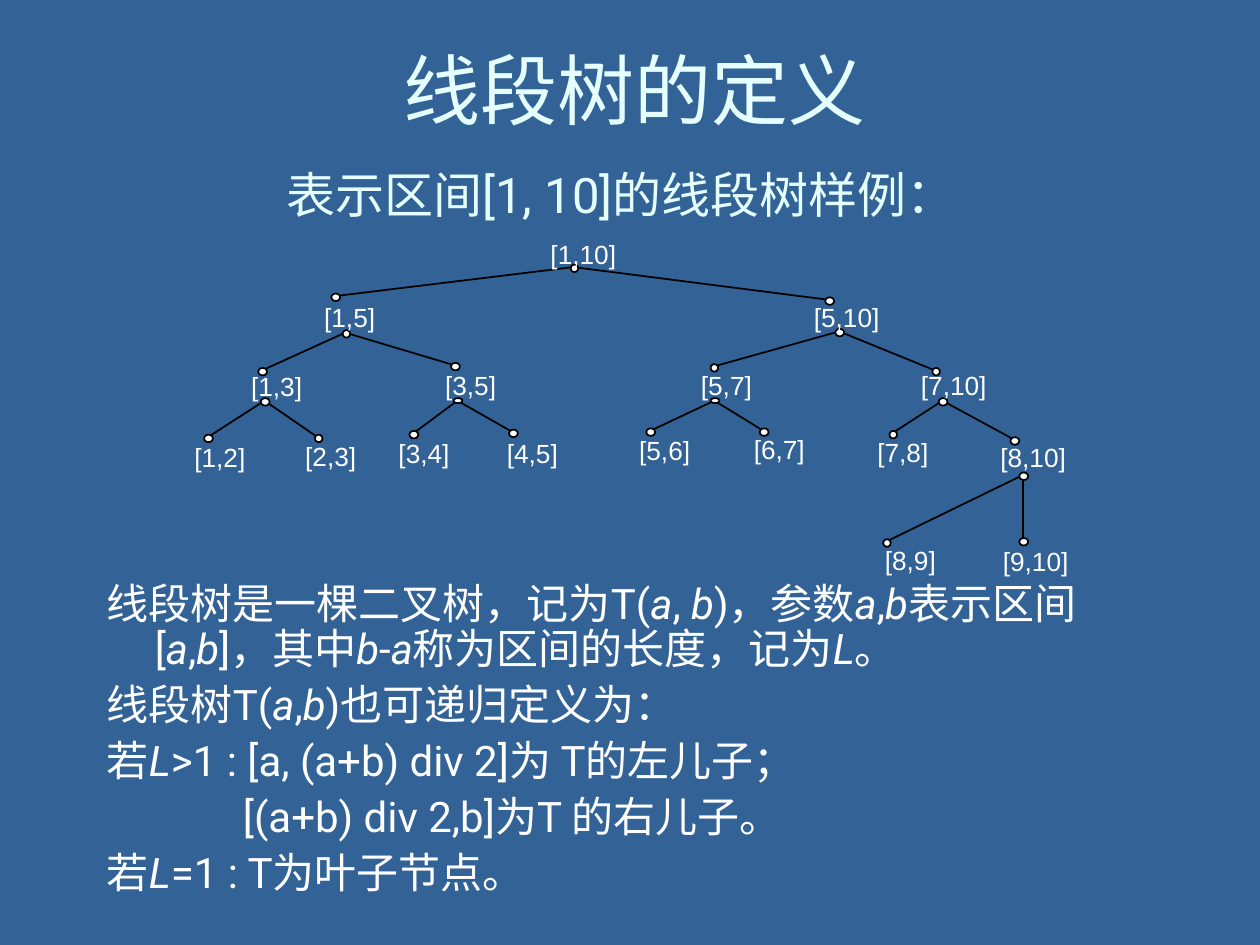
"""Build the slide that defines the segment tree."""
from dataclasses import dataclass
from typing import Optional

from lxml.etree import SubElement as Sub
from pptx import Presentation
from pptx.dml.color import RGBColor as Rgb
from pptx.enum.shapes import MSO_CONNECTOR as Link, MSO_SHAPE as Kind
from pptx.enum.text import MSO_ANCHOR as Anchor, PP_ALIGN as Align
from pptx.oxml.ns import qn
from pptx.util import Inches, Pt


@dataclass(frozen=True)
class Theme:
    """Colours, fonts and sizes."""
    back: str = "326296"
    pale: str = "E5FFFF"
    white: str = "FFFFFF"
    ink: str = "010101"
    main: str = "Roboto"
    label: str = "Arial"
    title: int = 44
    lead: int = 28
    body: int = 24
    small: int = 15
    line: int = 1


@dataclass(frozen=True)
class Dot:
    """A small ellipse where edges meet."""
    x: float
    y: float
    w: float = 0.07
    h: float = 0.06

    def joint(self) -> tuple:
        """Return the point where edges touch the dot."""
        return Inches(self.x + self.w - 0.04), Inches(self.y + 0.02)


@dataclass(frozen=True)
class Node:
    """Label place of an interval, with its upper and lower dots."""
    x: float
    y: float
    top: Optional[Dot] = None
    base: Optional[Dot] = None


@dataclass(frozen=True)
class Para:
    """A paragraph with its left margin and first-line indent."""
    text: str
    left: float = 0
    first: float = 0


THEME = Theme()
HANG = {"left": 0.38, "first": -0.38}

TREE = {
    (1, 10): Node(4.35, 1.89, base=Dot(4.53, 2.1, 0.06)),
    (1, 5): Node(2.55, 2.39, Dot(2.63, 2.33), Dot(2.72, 2.62, 0.06)),
    (5, 10): Node(6.44, 2.39, Dot(6.55, 2.36), Dot(6.63, 2.61)),
    (1, 3): Node(1.97, 2.94, Dot(2.05, 2.92), Dot(2.07, 3.16)),
    (3, 5): Node(3.51, 2.93, Dot(3.58, 2.88), Dot(3.6, 3.16, h=0.04)),
    (5, 7): Node(5.54, 2.93, Dot(5.64, 2.89, 0.06), Dot(5.64, 3.16, h=0.04)),
    (7, 10): Node(7.29, 2.93, Dot(7.4, 2.92, 0.06), Dot(7.45, 3.16)),
    (1, 2): Node(1.52, 3.5, Dot(1.62, 3.45)),
    (2, 3): Node(2.4, 3.49, Dot(2.5, 3.45, 0.06)),
    (3, 4): Node(3.14, 3.47, Dot(3.25, 3.42)),
    (4, 5): Node(4.0, 3.47, Dot(4.04, 3.41)),
    (5, 6): Node(5.05, 3.45, Dot(5.13, 3.4)),
    (6, 7): Node(5.96, 3.44, Dot(6.03, 3.4)),
    (7, 8): Node(6.94, 3.46, Dot(7.06, 3.42, 0.06)),
    (8, 10): Node(7.92, 3.5, Dot(8.02, 3.47), Dot(8.09, 3.75)),
    (8, 9): Node(7.0, 4.32, Dot(7.01, 4.28, 0.06)),
    (9, 10): Node(7.94, 4.33, Dot(8.09, 4.27)),
}

BODY = (
    Para("线段树是一棵二叉树，记为T(*a*, *b*)，参数*a*,*b*表示区间[*a*,*b*]，"
         "其中*b*-*a*称为区间的长度，记为*L*。", **HANG),
    Para("线段树T(*a*,*b*)也可递归定义为：", **HANG),
    Para("若*L*>1 : [a, (a+b) div 2]为 T的左儿子；", **HANG),
    Para("[(a+b) div 2,b]为T 的右儿子。", left=1.08),
    Para("若*L*=1 : T为叶子节点。", **HANG),
)


def write(shapes, box: tuple, *paras: Para, size: int, font: str = THEME.main,
          color: str = THEME.white, align=Align.CENTER, anchor=Anchor.TOP,
          inset: tuple = (0.1, 0.05, 0.1, 0.05), wrap: bool = True,
          pitch: float = 1.0, gap: float = 0) -> None:
    """Add a text box, with italics set between asterisks."""
    frame = shapes.add_textbox(*map(Inches, box)).text_frame
    frame.word_wrap, frame.vertical_anchor = wrap, anchor
    (frame.margin_left, frame.margin_top,
     frame.margin_right, frame.margin_bottom) = map(Inches, inset)
    for rank, para in enumerate(paras):
        line = frame.add_paragraph() if rank else frame.paragraphs[0]
        line.alignment, line.line_spacing = align, pitch
        line.space_before = Pt(gap if rank else 0)
        props = line._p.get_or_add_pPr()
        props.set("marL", str(Inches(para.left)))
        props.set("indent", str(Inches(para.first)))
        for turn, part in enumerate(para.text.split("*")):
            run = line.add_run()
            run.text = part
            run.font.name, run.font.size = font, Pt(size)
            run.font.italic = turn % 2 == 1
            run.font.color.rgb = Rgb.from_string(color)


def stroke(shape) -> None:
    """Give a shape or edge the dark outline."""
    shape.line.color.rgb = Rgb.from_string(THEME.ink)
    shape.line.width = Pt(THEME.line)


def edge(shapes, start: Dot, end: Dot) -> None:
    """Draw an edge between two dots."""
    link = shapes.add_connector(Link.STRAIGHT, *start.joint(), *end.joint())
    stroke(link)
    Sub(link._element.spPr, qn("a:effectLst"))


def mark(shapes, dot: Dot) -> None:
    """Draw a dot."""
    oval = shapes.add_shape(Kind.OVAL, *map(Inches, (dot.x, dot.y, dot.w, dot.h)))
    oval.shadow.inherit = False
    oval.fill.solid()
    oval.fill.fore_color.rgb = Rgb.from_string(THEME.white)
    stroke(oval)


def plant(shapes) -> None:
    """Draw the tree, halving each interval to find its children."""
    for (low, high), node in TREE.items():
        if node.base:
            mid = (low + high) // 2
            for child in ((low, mid), (mid, high)):
                edge(shapes, node.base, TREE[child].top)
    for node in TREE.values():
        for dot in filter(None, (node.top, node.base)):
            mark(shapes, dot)
    for (low, high), node in TREE.items():
        width = 0.56 if high == 10 else 0.45
        write(shapes, (node.x, node.y, width, 0.25), Para(f"[{low},{high}]"),
              size=THEME.small, font=THEME.label, inset=(0, 0, 0, 0), wrap=False)


def main() -> None:
    """Build and save the slide."""
    deck = Presentation()
    deck.slide_width, deck.slide_height = Inches(10), Inches(7.5)
    slide = deck.slides.add_slide(deck.slide_layouts[6])
    slide.background.fill.solid()
    slide.background.fill.fore_color.rgb = Rgb.from_string(THEME.back)
    shapes = slide.shapes
    write(shapes, (0.67, 0.25, 8.74, 0.91), Para("线段树的定义"),
          size=THEME.title, color=THEME.pale, anchor=Anchor.MIDDLE)
    write(shapes, (0.75, 4.58, 8.82, 2.65), *BODY, size=THEME.body,
          align=Align.LEFT, pitch=0.9, gap=6)
    write(shapes, (0.5, 1.08, 9, 0.79), Para("表示区间[1, 10]的线段树样例："),
          size=THEME.lead, color=THEME.pale, anchor=Anchor.MIDDLE,
          inset=(0.1, 0.18, 0.24, 0.05))
    plant(shapes.add_group_shape().shapes)
    deck.save("out.pptx")


if __name__ == "__main__":
    main()
